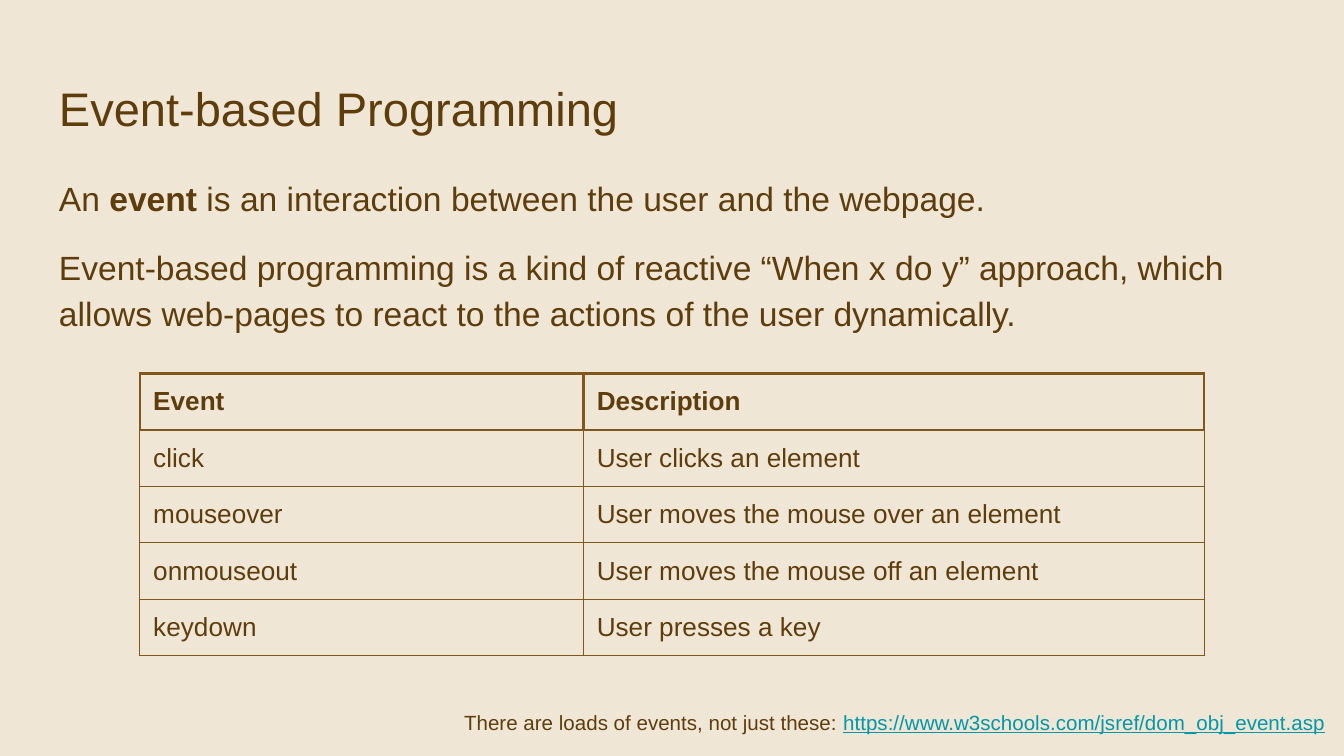
import dataclasses

import lxml.etree
import pptx
import pptx.dml.color
import pptx.enum.text
import pptx.oxml.ns
import pptx.util

Inches = pptx.util.Inches
Pt = pptx.util.Pt
ALIGN = pptx.enum.text.PP_ALIGN


@dataclasses.dataclass(frozen=True)
class Theme:
    font: str = "Arial"
    back: str = "F0E6D6"
    ink: str = "5E3D0C"
    rule: str = "80581B"
    link: str = "0097A7"
    title: float = 25.2
    body: float = 18
    cell: float = 14
    note: float = 11
    thick: float = 1.5
    thin: float = 0.75
    inset: float = 0.1
    foot: float = 0.08


def color(code):
    return pptx.dml.color.RGBColor.from_string(code)


class Deck:
    """Holds the theme and the current slide."""

    def __init__(self, theme, width, height):
        self.theme = theme
        self.file = pptx.Presentation()
        self.file.slide_width = Inches(width)
        self.file.slide_height = Inches(height)
        self.slide = self.file.slides.add_slide(self.file.slide_layouts[6])
        fill = self.slide.background.fill
        fill.solid()
        fill.fore_color.rgb = color(theme.back)

    def style(self, run, size, bold=False, link=False):
        font = run.font
        font.name = self.theme.font
        font.size = Pt(size)
        font.bold = bold
        font.underline = link
        font.color.rgb = color(self.theme.link if link else self.theme.ink)

    def pad(self, item):
        """Set equal insets on a text frame or a cell."""
        for side in ("left", "top", "right", "bottom"):
            setattr(item, f"margin_{side}", Inches(self.theme.inset))

    def text(self, box, paras, size, align=ALIGN.LEFT, line=1.0, gap=0):
        """Add a text box; each paragraph is a list of (text, style) pairs."""
        frame = self.slide.shapes.add_textbox(*map(Inches, box)).text_frame
        frame.word_wrap = True
        self.pad(frame)
        for i, parts in enumerate(paras):
            para = frame.add_paragraph() if i else frame.paragraphs[0]
            para.alignment = align
            para.line_spacing = line
            if i:
                para.space_before = Pt(gap)
            for words, look in parts:
                run = para.add_run()
                run.text = words
                self.style(run, size, **look)

    def edge(self, cell, widths):
        """Draw the left, right, top and bottom borders of a cell."""
        props = cell._tc.get_or_add_tcPr()
        qn = pptx.oxml.ns.qn
        for i, (side, width) in enumerate(zip("LRTB", widths)):
            line = lxml.etree.Element(qn(f"a:ln{side}"), w=str(Pt(width)))
            fill = lxml.etree.SubElement(line, qn("a:solidFill"))
            lxml.etree.SubElement(fill, qn("a:srgbClr"), val=self.theme.rule)
            props.insert(i, line)

    def table(self, left, top, cols, height, rows):
        table = self.slide.shapes.add_table(
            len(rows), len(cols), Inches(left), Inches(top),
            Inches(sum(cols)), Inches(height * len(rows))).table
        table.first_row = table.horz_banding = False
        for col, width in zip(table.columns, cols):
            col.width = Inches(width)
        thick, thin = self.theme.thick, self.theme.thin
        for r, words in enumerate(rows):
            widths = [thick] * 4 if r == 0 else [thin] * 4
            if r == 1:
                widths[2] = thick
            for c, word in enumerate(words):
                cell = table.cell(r, c)
                cell.fill.background()
                self.pad(cell)
                cell.margin_bottom = Inches(self.theme.foot)
                self.edge(cell, widths)
                cell.text_frame.text = word
                run = cell.text_frame.paragraphs[0].runs[0]
                self.style(run, self.theme.cell, bold=r == 0)


def main():
    theme = Theme()
    width = 10
    deck = Deck(theme, width, width * 9 / 16)
    plain, bold, link = {}, {"bold": True}, {"link": True}
    deck.text((0.34, 0.49, 9.32, 0.63),
              [[("Event-based Programming", plain)]], theme.title)
    deck.text((0.34, 1.18, 9.32, 3.74), [
        [("An ", plain), ("event", bold),
         (" is an interaction between the user and the webpage.", plain)],
        [("Event-based programming is a kind of reactive “When x do y” "
          "approach, which allows web-pages to react to the actions of the "
          "user dynamically.", plain)],
    ], theme.body, line=1.15, gap=12)
    deck.table(1.04, 2.78, (3.3, 4.62), 0.42, [
        ("Event", "Description"),
        ("click", "User clicks an element"),
        ("mouseover", "User moves the mouse over an element"),
        ("onmouseout", "User moves the mouse off an element"),
        ("keydown", "User presses a key"),
    ])
    deck.text((3.08, 5.19, 6.88, 0.58), [
        [("There are loads of events, not just these: ", plain),
         ("https://www.w3schools.com/jsref/dom_obj_event.asp", link)],
    ], theme.note, align=ALIGN.RIGHT)
    deck.file.save("out.pptx")


if __name__ == "__main__":
    main()
